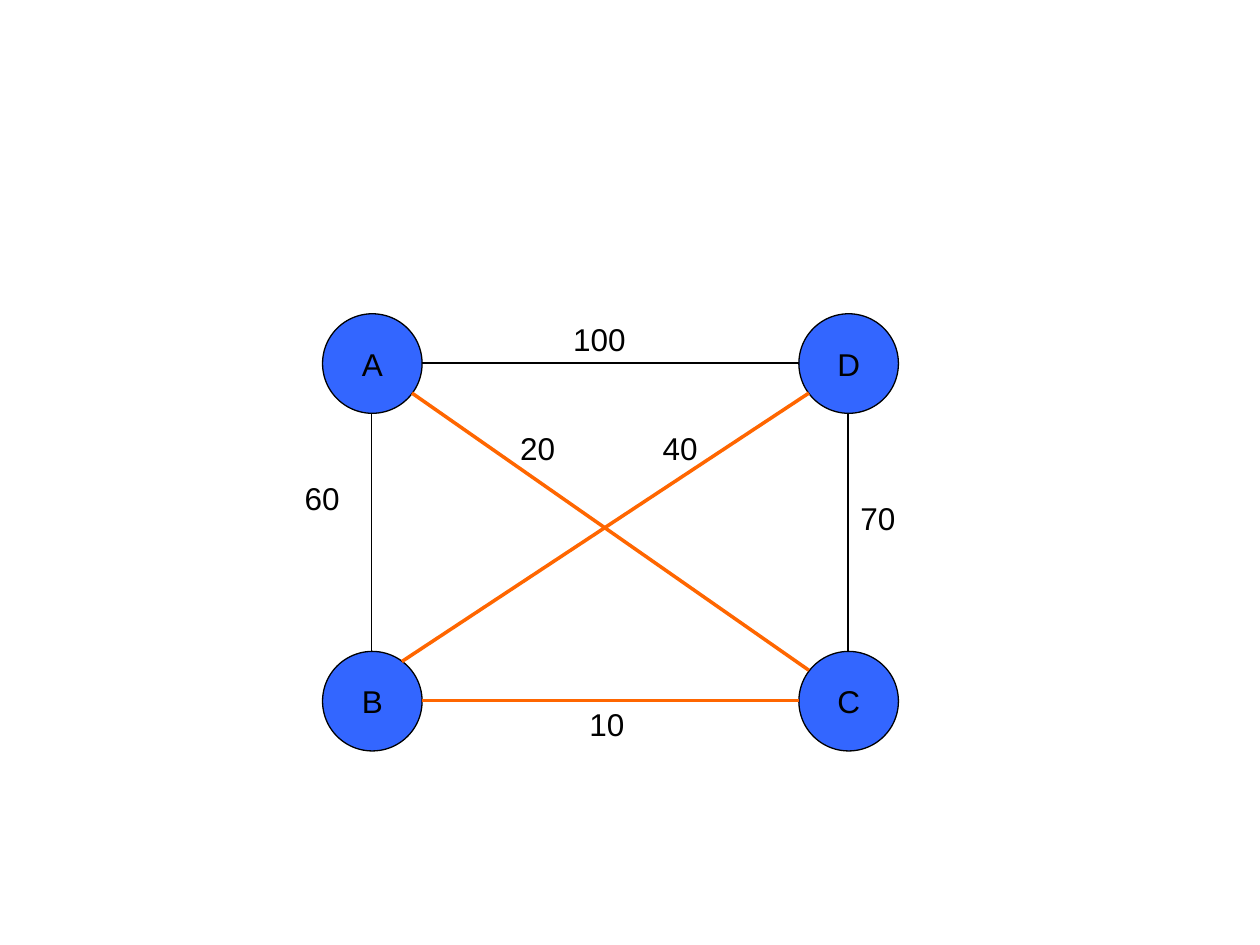
from lxml import etree
from pptx import Presentation
from pptx.dml.color import RGBColor
from pptx.enum.shapes import MSO_CONNECTOR, MSO_SHAPE
from pptx.enum.text import MSO_ANCHOR, MSO_AUTO_SIZE, PP_ALIGN
from pptx.oxml.ns import qn
from pptx.util import Inches, Pt

OVAL = MSO_SHAPE.OVAL
STRAIGHT = MSO_CONNECTOR.STRAIGHT
CENTER, LEFT = PP_ALIGN.CENTER, PP_ALIGN.LEFT
MIDDLE, TOP = MSO_ANCHOR.MIDDLE, MSO_ANCHOR.TOP
GROW = MSO_AUTO_SIZE.SHAPE_TO_FIT_TEXT

COLORS = {"node": "3366FF", "ink": "000000", "tree": "FF6600"}
FONT_FORMAT = {"name": "Arial", "size": Pt(18)}
NODE_FRAME = {"vertical_anchor": MIDDLE, "word_wrap": False}
LABEL_FRAME = {"vertical_anchor": TOP, "word_wrap": True, "auto_size": GROW}

NODE_SIZE = 0.79
LABEL_WIDTH, LABEL_HEIGHT = 0.81, 0.4
GRAPH_BOX = (2.56, 2.49, 4.57, 3.47)

NODES = {"A": (0, 0), "B": (0, 1), "C": (1, 1), "D": (1, 0)}
EDGES = {
    "AD": ((0.79, 0.39), (3.78, 0.39)),
    "AB": ((0.39, 0.79), (0.39, 2.68)),
    "BC": ((0.79, 3.07), (3.78, 3.07)),
    "DC": ((4.17, 0.79), (4.17, 2.68)),
    "AC": ((0.71, 0.63), (3.86, 2.83)),
    "BD": ((0.63, 2.76), (3.86, 0.63)),
}
TREE_EDGES = ("AC", "BC", "BD")
WEIGHTS = {
    "60": (-0.24, 1.26),
    "20": (1.47, 0.87),
    "40": (2.6, 0.87),
    "100": (1.89, 0),
    "70": (4.17, 1.42),
    "10": (2.02, 3.06),
}


def color(name):
    """Return the named colour."""
    return RGBColor.from_string(COLORS[name])


def write_text(shape, text, alignment, frame_format):
    """Put one formatted paragraph in a shape."""
    frame = shape.text_frame
    for attribute, value in frame_format.items():
        setattr(frame, attribute, value)
    paragraph = frame.paragraphs[0]
    paragraph.text = text
    paragraph.alignment = alignment
    for attribute, value in FONT_FORMAT.items():
        setattr(paragraph.font, attribute, value)
    paragraph.font.color.rgb = color("ink")


def add_node(slide, name, left, top):
    """Draw a named circle."""
    size = Inches(NODE_SIZE)
    node = slide.shapes.add_shape(OVAL, Inches(left), Inches(top), size, size)
    node.shadow.inherit = False
    node.fill.solid()
    node.fill.fore_color.rgb = color("node")
    node.line.color.rgb = color("ink")
    node.line.width = Pt(0.75)
    write_text(node, name, CENTER, NODE_FRAME)


def add_edge(slide, box, name, line_color, width):
    """Draw the named edge inside the graph box."""
    left, top = box[:2]
    (x1, y1), (x2, y2) = EDGES[name]
    edge = slide.shapes.add_connector(
        STRAIGHT, Inches(left + x1), Inches(top + y1), Inches(left + x2), Inches(top + y2)
    )
    edge.line.color.rgb = color(line_color)
    edge.line.width = Pt(width)
    etree.SubElement(edge._element.spPr, qn("a:effectLst"))


def add_weight(slide, text, left, top):
    """Write an edge weight."""
    label = slide.shapes.add_textbox(
        Inches(left), Inches(top), Inches(LABEL_WIDTH), Inches(LABEL_HEIGHT)
    )
    write_text(label, text, LEFT, LABEL_FRAME)


def add_graph(slide, box):
    """Draw the weighted graph and its spanning tree in a box."""
    left, top, width, height = box
    for name, (column, row) in NODES.items():
        x = left + column * (width - NODE_SIZE)
        y = top + row * (height - NODE_SIZE)
        add_node(slide, name, x, y)
    for name in EDGES:
        add_edge(slide, box, name, "ink", 0.75)
    for text, (x, y) in WEIGHTS.items():
        add_weight(slide, text, left + x, top + y)
    for name in TREE_EDGES:
        add_edge(slide, box, name, "tree", 2)


def main():
    """Build and save the presentation."""
    presentation = Presentation()
    presentation.slide_width = Inches(10)
    presentation.slide_height = Inches(7.5)
    slide = presentation.slides.add_slide(presentation.slide_layouts[6])
    add_graph(slide, GRAPH_BOX)
    presentation.save("out.pptx")


if __name__ == "__main__":
    main()
